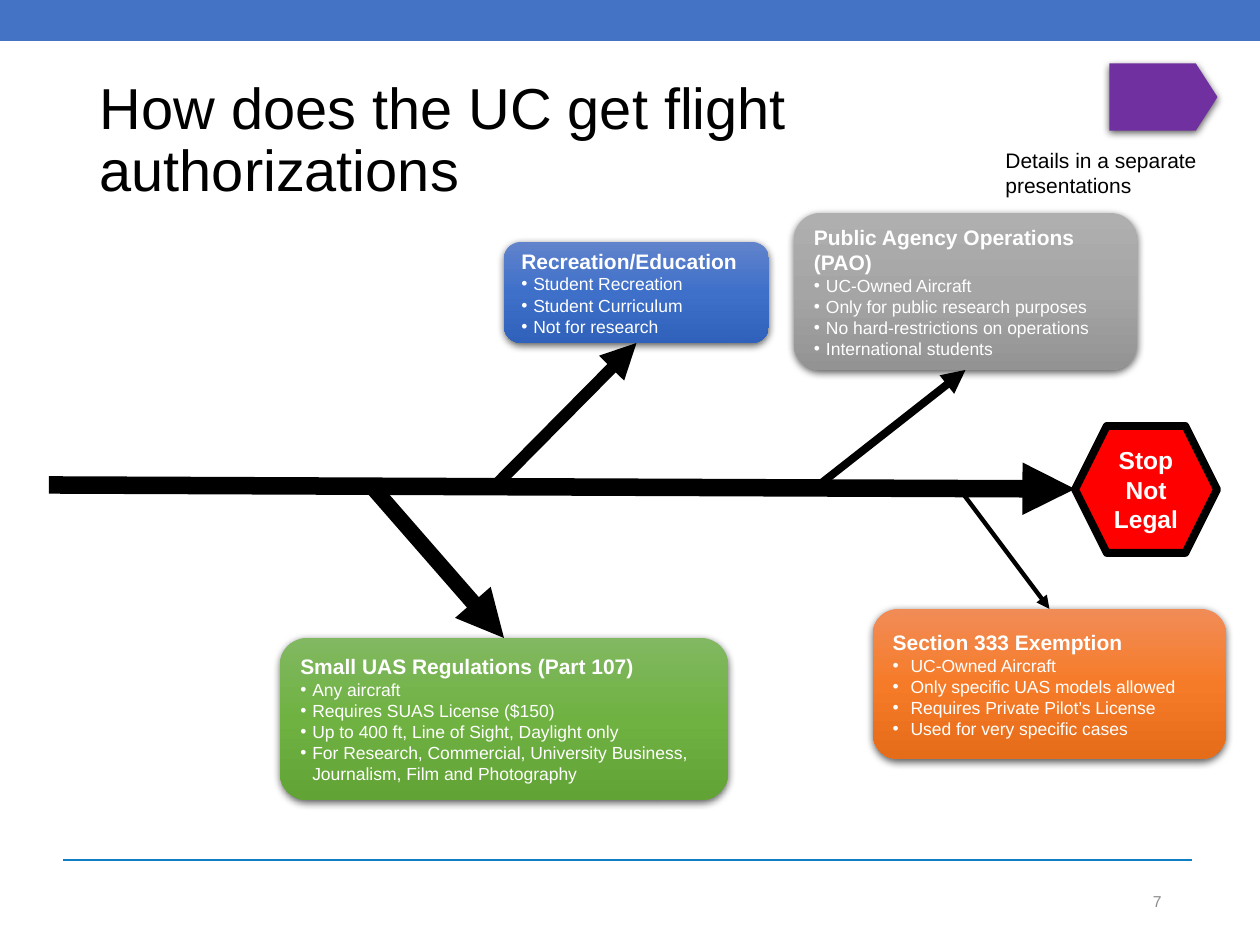
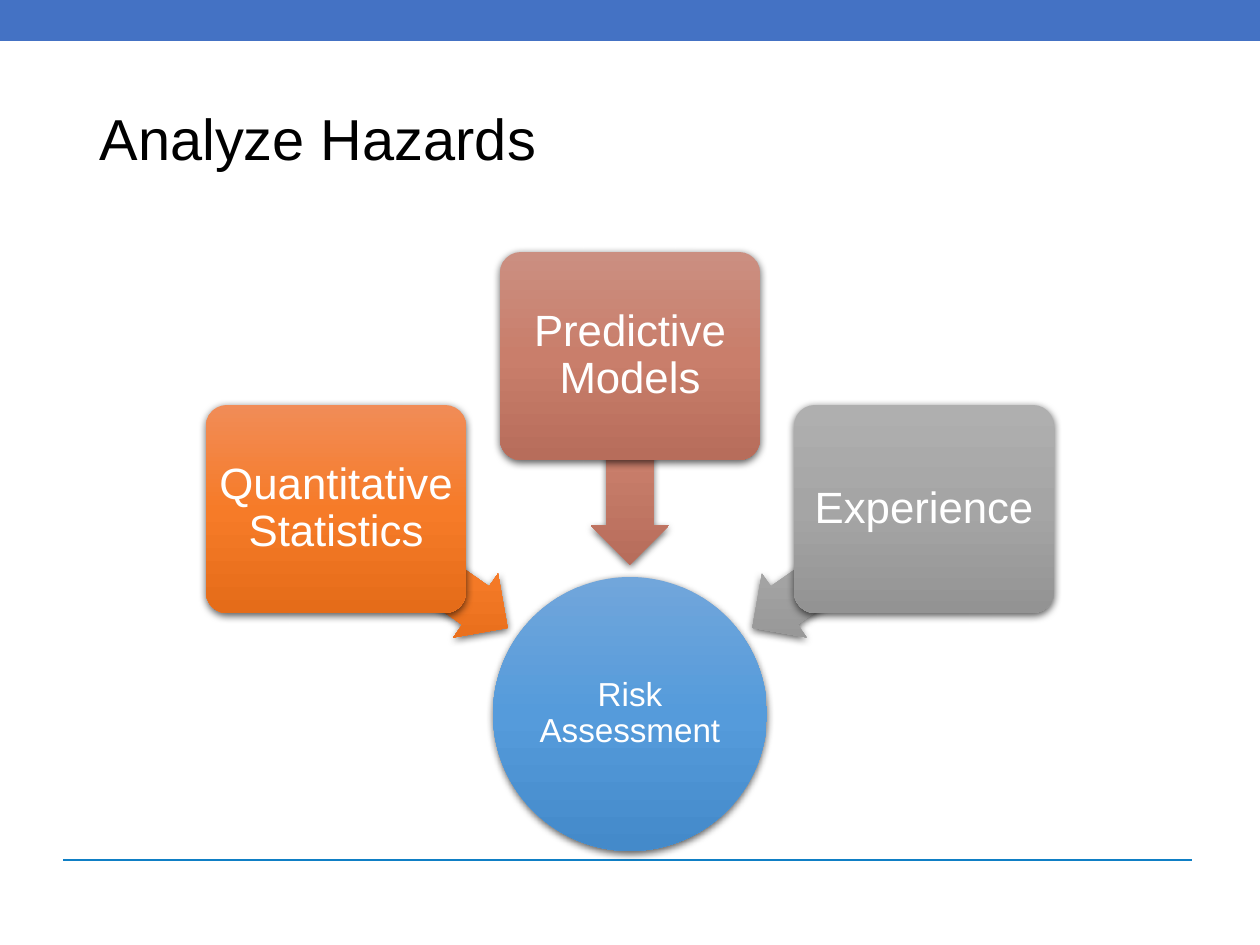
"""Build two slides: flight authorization routes and hazard analysis."""
import pptx
import pptx.dml.color
import pptx.enum.shapes
import pptx.enum.text
import pptx.oxml.ns
import pptx.util
from lxml import etree

RGBColor = pptx.dml.color.RGBColor
Pt = pptx.util.Pt
SHAPE = pptx.enum.shapes.MSO_SHAPE
STRAIGHT = pptx.enum.shapes.MSO_CONNECTOR.STRAIGHT
ALIGN = pptx.enum.text.PP_ALIGN
ANCHOR = pptx.enum.text.MSO_ANCHOR
qn = pptx.oxml.ns.qn

PIXELS_PER_INCH = 126
SLIDE_SIZE = (1260, 945)
BAND_BOX = (0, 0, 1260, 41)
RULE_ENDS = (63, 860, 1192, 860)
TITLE_BOX = (87, 50, 1080, 183)
TOP, BOTTOM = 0, 2

BLACK = RGBColor(0x00, 0x00, 0x00)
WHITE = RGBColor(0xFF, 0xFF, 0xFF)
NUMBER_GRAY = RGBColor(0x8C, 0x8C, 0x8C)
BAND_BLUE = RGBColor(0x44, 0x72, 0xC4)
RULE_BLUE = RGBColor(0x0F, 0x7F, 0xC5)
STOP_RED = RGBColor(0xFF, 0x00, 0x00)
DETAIL_PURPLE = RGBColor(0x70, 0x30, 0xA0)
BLUE = (RGBColor(0x61, 0x83, 0xCB), RGBColor(0x3E, 0x70, 0xCA), RGBColor(0x30, 0x62, 0xBB))
GRAY = (RGBColor(0xAF, 0xAF, 0xAF), RGBColor(0xA5, 0xA5, 0xA5), RGBColor(0x93, 0x93, 0x93))
ORANGE = (RGBColor(0xF1, 0x8C, 0x57), RGBColor(0xF6, 0x7B, 0x28), RGBColor(0xE5, 0x6C, 0x19))
GREEN = (RGBColor(0x81, 0xB8, 0x61), RGBColor(0x6F, 0xB2, 0x42), RGBColor(0x62, 0xA3, 0x36))
ROSE = (RGBColor(0xCB, 0x8F, 0x81), RGBColor(0xC9, 0x7E, 0x6B), RGBColor(0xB7, 0x6D, 0x5B))
SKY = (RGBColor(0x71, 0xA6, 0xDB), RGBColor(0x55, 0x9B, 0xDB), RGBColor(0x44, 0x8A, 0xCA))

TITLE_FONT = {"size": Pt(33), "bold": False}
HEADING_FONT = {"size": Pt(12), "bold": True}
BULLET_FONT = {"size": Pt(10), "bold": False}
STOP_FONT = {"size": Pt(14), "bold": True}
NOTE_FONT = {"size": Pt(12), "bold": False}
NUMBER_FONT = {"size": Pt(9), "bold": False}
SOURCE_FONT = {"size": Pt(25), "bold": False}
RESULT_FONT = {"size": Pt(19), "bold": False}

SPINE = {"ends": (49, 485, 1075, 489), "width": 10}
STOP_BOX = (1075, 426, 142, 127)
ROUTES = [
    {"heading": "Recreation/Education", "box": (504, 242, 265, 101), "colors": BLUE,
     "indent": 12, "start": (496, 485), "side": BOTTOM, "width": 6.75,
     "bullets": ["Student Recreation", "Student Curriculum", "Not for research"]},
    {"heading": "Public Agency Operations (PAO)", "box": (794, 213, 343, 157), "colors": GRAY,
     "indent": 12, "start": (819, 485), "side": BOTTOM, "width": 4.5,
     "bullets": ["UC-Owned Aircraft", "Only for public research purposes",
                 "No hard-restrictions on operations", "International students"]},
    {"heading": "Section 333 Exemption", "box": (873, 609, 353, 150), "colors": ORANGE,
     "indent": 18, "start": (955, 483), "side": TOP, "width": 2.5,
     "bullets": ["UC-Owned Aircraft", "Only specific UAS models allowed",
                 "Requires Private Pilot’s License", "Used for very specific cases"]},
    {"heading": "Small UAS Regulations (Part 107)", "box": (280, 638, 448, 162), "colors": GREEN,
     "indent": 12, "start": (374, 489), "side": TOP, "width": 9,
     "bullets": ["Any aircraft", "Requires SUAS License ($150)",
                 "Up to 400 ft, Line of Sight, Daylight only",
                 "For Research, Commercial, University Business, "
                 "Journalism, Film and Photography"]},
]

RISK_BOX = (493, 577, 274, 274)
SOURCES = [
    {"text": "Quantitative Statistics", "top": 405, "arrow_top": 529, "colors": ORANGE},
    {"text": "Predictive Models", "top": 252, "arrow_top": 421, "colors": ROSE},
    {"text": "Experience", "top": 405, "arrow_top": 529, "colors": GRAY},
]
SOURCE_SIZE, SOURCE_PITCH = (260, 208), 294
ARROW_SIZE, ARROW_PITCH = (209, 78), 208
FIRST_ANGLE, ANGLE_STEP = 215, 55


def px(length):
    return pptx.util.Emu(round(length * 914400 / PIXELS_PER_INCH))


def set_all(target, values):
    for name, value in values.items():
        setattr(target, name, value)


def add_text(frame, lines, font, color=WHITE, align=ALIGN.CENTER, anchor=ANCHOR.MIDDLE,
             spacing=1.0, inset=None):
    set_all(frame, {"word_wrap": True, "vertical_anchor": anchor,
                    "auto_size": pptx.enum.text.MSO_AUTO_SIZE.NONE})
    if inset is not None:
        sides = ("margin_left", "margin_top", "margin_right", "margin_bottom")
        set_all(frame, dict.fromkeys(sides, px(inset)))
    for index, line in enumerate(lines):
        paragraph = frame.add_paragraph() if index else frame.paragraphs[0]
        add_line(paragraph, line, font, color, align, spacing)


def add_line(paragraph, text, font, color, align, spacing=1.0):
    run = paragraph.add_run()
    run.text = text
    set_all(paragraph, {"alignment": align, "line_spacing": spacing})
    set_all(run.font, {"name": "Arial", **font})
    run.font.color.rgb = color


def add_bullet(frame, text, indent):
    paragraph = frame.add_paragraph()
    add_line(paragraph, text, BULLET_FONT, WHITE, ALIGN.LEFT)
    properties = paragraph._p.get_or_add_pPr()
    properties.set("marL", str(px(indent)))
    properties.set("indent", str(-px(indent)))
    etree.SubElement(properties, qn("a:buFont"), typeface="Arial")
    etree.SubElement(properties, qn("a:buChar"), char="•")


def add_color(parent, color, **attributes):
    return etree.SubElement(parent, qn("a:srgbClr"), val=str(color), **attributes)


def add_flat(slide, kind, box, color):
    shape = slide.shapes.add_shape(kind, *map(px, box))
    shape.shadow.inherit = False
    shape.fill.solid()
    shape.fill.fore_color.rgb = color
    shape.line.fill.background()
    return shape


def add_shadow(shape):
    effects = shape.element.spPr.find(qn("a:effectLst"))
    shadow = etree.SubElement(effects, qn("a:outerShdw"), blurRad=str(Pt(4.5)),
                              dist=str(Pt(1.5)), dir="5400000", algn="ctr", rotWithShape="0")
    etree.SubElement(add_color(shadow, BLACK), qn("a:alpha"), val="63000")


def add_glossy(slide, kind, box, colors, adjustments=()):
    shape = add_flat(slide, kind, box, colors[0])
    for index, value in enumerate(adjustments):
        shape.adjustments[index] = value
    shape.fill.gradient()
    shape.fill.gradient_angle = 270
    gradient = shape.element.spPr.find(qn("a:gradFill"))
    gradient.set("rotWithShape", "0")
    stops = gradient.find(qn("a:gsLst"))
    for stop in list(stops):
        stops.remove(stop)
    for position, color in zip((0, 50000, 100000), colors):
        add_color(etree.SubElement(stops, qn("a:gs"), pos=str(position)), color)
    add_shadow(shape)
    return shape


def add_connector(slide, ends, color, width, arrow=True):
    connector = slide.shapes.add_connector(STRAIGHT, *map(px, ends))
    connector.line.color.rgb = color
    connector.line.width = Pt(width)
    properties = connector.element.spPr
    if arrow:
        etree.SubElement(properties.find(qn("a:ln")), qn("a:tailEnd"), type="triangle")
    etree.SubElement(properties, qn("a:effectLst"))
    return connector


def add_label(slide, box, text, font, color, align, anchor):
    label = slide.shapes.add_textbox(*map(px, box))
    add_text(label.text_frame, [text], font, color, align, anchor)


def add_slide(presentation, title):
    slide = presentation.slides.add_slide(presentation.slide_layouts[5])
    placeholder = slide.shapes.title
    set_all(placeholder, dict(zip(("left", "top", "width", "height"), map(px, TITLE_BOX))))
    add_text(placeholder.text_frame, [title], TITLE_FONT, BLACK, ALIGN.LEFT, spacing=0.9)
    return slide


def decorate_master(presentation, slide):
    rule = add_connector(slide, RULE_ENDS, RULE_BLUE, 1.5, arrow=False)
    band = add_flat(slide, SHAPE.RECTANGLE, BAND_BOX, BAND_BLUE)
    for shape in (rule, band):
        presentation.slide_master.shapes.element.append(shape.element)


def add_route(slide, route):
    box = add_glossy(slide, SHAPE.ROUNDED_RECTANGLE, route["box"], route["colors"])
    add_text(box.text_frame, [route["heading"]], HEADING_FONT, align=ALIGN.LEFT)
    for bullet in route["bullets"]:
        add_bullet(box.text_frame, bullet, route["indent"])
    branch = add_connector(slide, route["start"] * 2, BLACK, route["width"])
    branch.end_connect(box, route["side"])


def fill_routes(slide):
    add_connector(slide, SPINE["ends"], BLACK, SPINE["width"])
    for route in ROUTES:
        add_route(slide, route)
    stop = add_flat(slide, SHAPE.HEXAGON, STOP_BOX, STOP_RED)
    stop.line.color.rgb = BLACK
    stop.line.width = Pt(4.5)
    add_text(stop.text_frame, ["Stop", "Not Legal"], STOP_FONT)
    marker = add_flat(slide, SHAPE.FLOWCHART_OFFPAGE_CONNECTOR, (1130, 43, 67, 108), DETAIL_PURPLE)
    marker.rotation = 270
    add_shadow(marker)
    add_label(slide, (993, 141, 246, 63), "Details in a separate presentations",
              NOTE_FONT, BLACK, ALIGN.LEFT, ANCHOR.TOP)
    add_label(slide, (1116, 876, 58, 50), "7", NUMBER_FONT, NUMBER_GRAY,
              ALIGN.RIGHT, ANCHOR.MIDDLE)


def fill_hazards(slide):
    circle = add_glossy(slide, SHAPE.OVAL, RISK_BOX, SKY)
    add_text(circle.text_frame, ["Risk Assessment"], RESULT_FONT, spacing=0.9, inset=1)
    center = SLIDE_SIZE[0] / 2
    for index, source in enumerate(SOURCES):
        arrow_left = center + (index - 1) * ARROW_PITCH - ARROW_SIZE[0] / 2
        arrow = add_glossy(slide, SHAPE.LEFT_ARROW,
                           (arrow_left, source["arrow_top"], *ARROW_SIZE),
                           source["colors"], (0.6, 0.5))
        arrow.rotation = FIRST_ANGLE + index * ANGLE_STEP
        left = center + (index - 1) * SOURCE_PITCH - SOURCE_SIZE[0] / 2
        box = add_glossy(slide, SHAPE.ROUNDED_RECTANGLE, (left, source["top"], *SOURCE_SIZE),
                         source["colors"], (0.1,))
        add_text(box.text_frame, [source["text"]], SOURCE_FONT, spacing=0.9, inset=5)


def main():
    presentation = pptx.Presentation()
    presentation.slide_width, presentation.slide_height = map(px, SLIDE_SIZE)
    routes = add_slide(presentation, "How does the UC get flight authorizations")
    decorate_master(presentation, routes)
    fill_routes(routes)
    fill_hazards(add_slide(presentation, "Analyze Hazards"))
    presentation.save("out.pptx")


if __name__ == "__main__":
    main()
